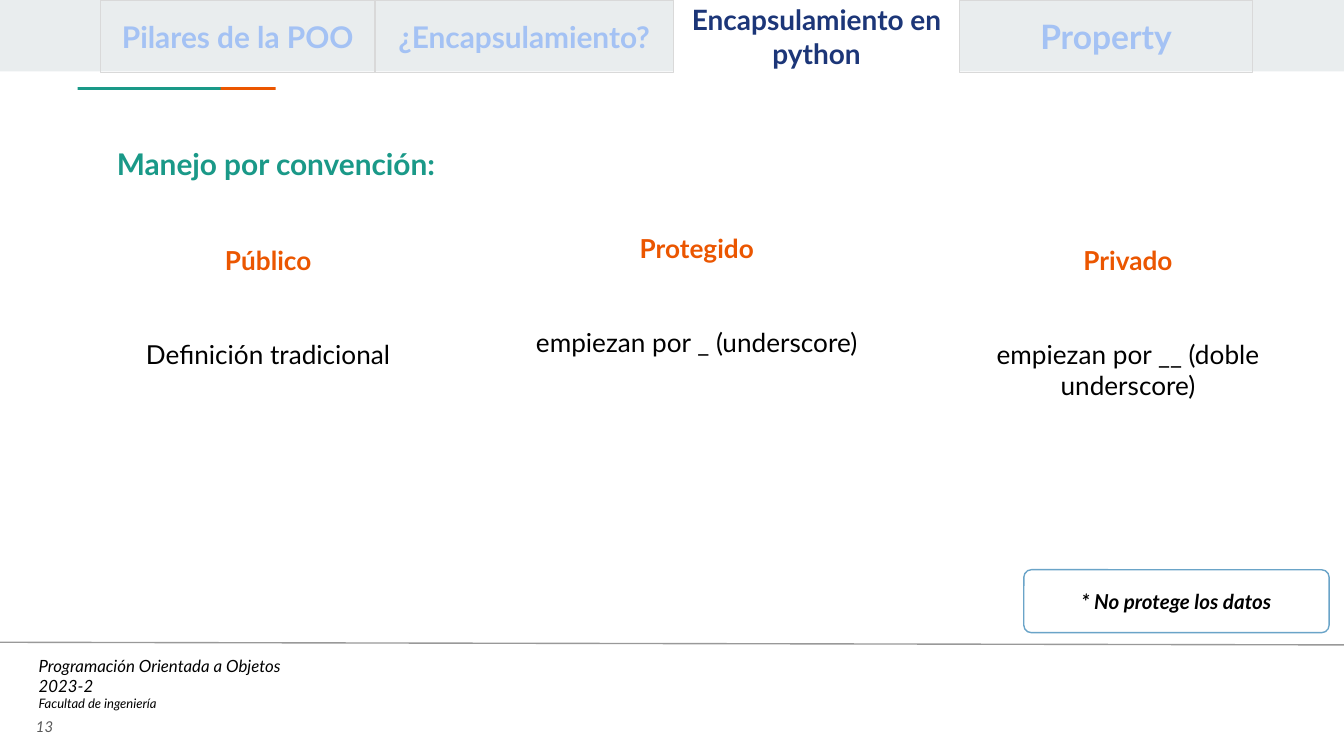
from lxml import etree
from pptx import Presentation
from pptx.dml.color import RGBColor
from pptx.enum.shapes import MSO_CONNECTOR, MSO_SHAPE
from pptx.enum.text import MSO_ANCHOR, PP_ALIGN
from pptx.oxml.ns import qn
from pptx.util import Cm, Pt

RECTANGLE = MSO_SHAPE.RECTANGLE
ROUNDED = MSO_SHAPE.ROUNDED_RECTANGLE
STRAIGHT = MSO_CONNECTOR.STRAIGHT
LEFT, CENTER = PP_ALIGN.LEFT, PP_ALIGN.CENTER
TOP, MIDDLE = MSO_ANCHOR.TOP, MSO_ANCHOR.MIDDLE

FONT = "Lato"
GREEN, ORANGE, BLACK, WHITE = "1A9988", "EB5600", "000000", "FFFFFF"
ACTIVE, INACTIVE = "1C3678", "A4C2F4"
TAB_HEIGHT = 1.37


def color(value):
    """Turn a hex string into a colour."""
    return RGBColor.from_string(value)


def write(shape, lines, align=LEFT, anchor=TOP):
    """Fill a shape with (text, size, colour, bold, italic, space before) lines."""
    frame = shape.text_frame
    frame.word_wrap = True
    frame.vertical_anchor = anchor
    frame.margin_left = frame.margin_right = Cm(0.25)
    frame.margin_top = frame.margin_bottom = Cm(0.25)
    for index, (text, size, hue, bold, italic, gap) in enumerate(lines):
        paragraph = frame.add_paragraph() if index else frame.paragraphs[0]
        paragraph.text = text
        paragraph.alignment = align
        if gap:
            paragraph.space_before = Pt(gap)
        font = paragraph.font
        font.name, font.size = FONT, Pt(size)
        font.bold, font.italic = bold, italic
        font.color.rgb = color(hue)


def add_text(slide, left, top, width, height, lines, align=LEFT, anchor=TOP):
    """Add a text box."""
    box = slide.shapes.add_textbox(Cm(left), Cm(top), Cm(width), Cm(height))
    write(box, lines, align, anchor)


def add_box(slide, left, top, width, height, fill=None, line=None, kind=RECTANGLE):
    """Add a flat preset shape with optional fill and outline."""
    shape = slide.shapes.add_shape(kind, Cm(left), Cm(top), Cm(width), Cm(height))
    shape.shadow.inherit = False
    if fill:
        shape.fill.solid()
        shape.fill.fore_color.rgb = color(fill)
    else:
        shape.fill.background()
    if line:
        shape.line.color.rgb = color(line)
        shape.line.width = Pt(0.75)
    else:
        shape.line.fill.background()
    return shape


def add_footer(slide):
    """Add the course name, the rule above it and the page number."""
    add_text(slide, 0.48, 12.14, 11.23, 1.57, [
        ("Programación Orientada a Objetos", 9, BLACK, False, True, 0),
        ("2023-2", 9, BLACK, False, True, 0),
        ("Facultad de ingeniería", 7, BLACK, False, True, 0),
    ])
    rule = slide.shapes.add_connector(STRAIGHT, Cm(0), Cm(12.14), Cm(25.4), Cm(12.19))
    rule.line.color.rgb = color("999999")
    rule.line.width = Pt(0.75)
    etree.SubElement(rule._element.spPr, qn("a:effectLst"))
    add_text(slide, 0.43, 13.18, 1.52, 1.09,
             [("13", 8, "595959", False, True, 0)], anchor=MIDDLE)


def add_header(slide):
    """Add the navigation band, its tabs and the two-colour accent."""
    add_box(slide, 0, 0, 25.4, 1.35, fill="E9EDEE")
    for left, hue in ((2.51, ORANGE), (1.47, GREEN)):
        add_box(slide, left, 1.65, 2.7, 0.05, fill=hue)
    tabs = [
        ("Encapsulamiento en python", 12.73, 18.14, 15, True),
        ("Pilares de la POO", 1.9, 7.09, 16, False),
        ("¿Encapsulamiento?", 7.09, 12.73, 16, False),
        ("Property", 18.14, 23.67, 18, False),
    ]
    for text, left, right, size, active in tabs:
        tab = add_box(slide, left, 0, right - left, TAB_HEIGHT,
                      fill=WHITE if active else None,
                      line=None if active else "D9D9D9")
        hue = ACTIVE if active else INACTIVE
        write(tab, [(text, size, hue, True, False, 0)], CENTER, MIDDLE)


def add_column(slide, left, top, heading, description):
    """Add an access level with its naming convention two lines below."""
    add_text(slide, left, top, 7.14, 2.9, [
        (heading, 14, ORANGE, True, False, 0),
        (description, 14, BLACK, False, False, 33.6),
    ], CENTER)


def add_note(slide):
    """Add the rounded remark."""
    note = add_box(slide, 19.35, 10.77, 5.77, 1.19, WHITE, "6AA4C8", ROUNDED)
    note.adjustments[0] = 0.12
    write(note, [("* No protege los datos", 11, BLACK, True, True, 0)], CENTER, MIDDLE)


def main():
    """Build and save the slide."""
    presentation = Presentation()
    presentation.slide_width, presentation.slide_height = Cm(25.4), Cm(14.29)
    slide = presentation.slides.add_slide(presentation.slide_layouts[6])
    add_footer(slide)
    add_header(slide)
    add_text(slide, 1.96, 2.51, 19.76, 1.19,
             [("Manejo por convención:", 16, GREEN, True, False, 0)])
    add_note(slide)
    add_column(slide, 1.5, 4.37, "Público", "Definición tradicional")
    add_column(slide, 9.6, 4.14, "Protegido", "empiezan por _ (underscore)")
    add_column(slide, 17.75, 4.37, "Privado", "empiezan por __ (doble underscore)")
    presentation.save("out.pptx")


if __name__ == "__main__":
    main()
